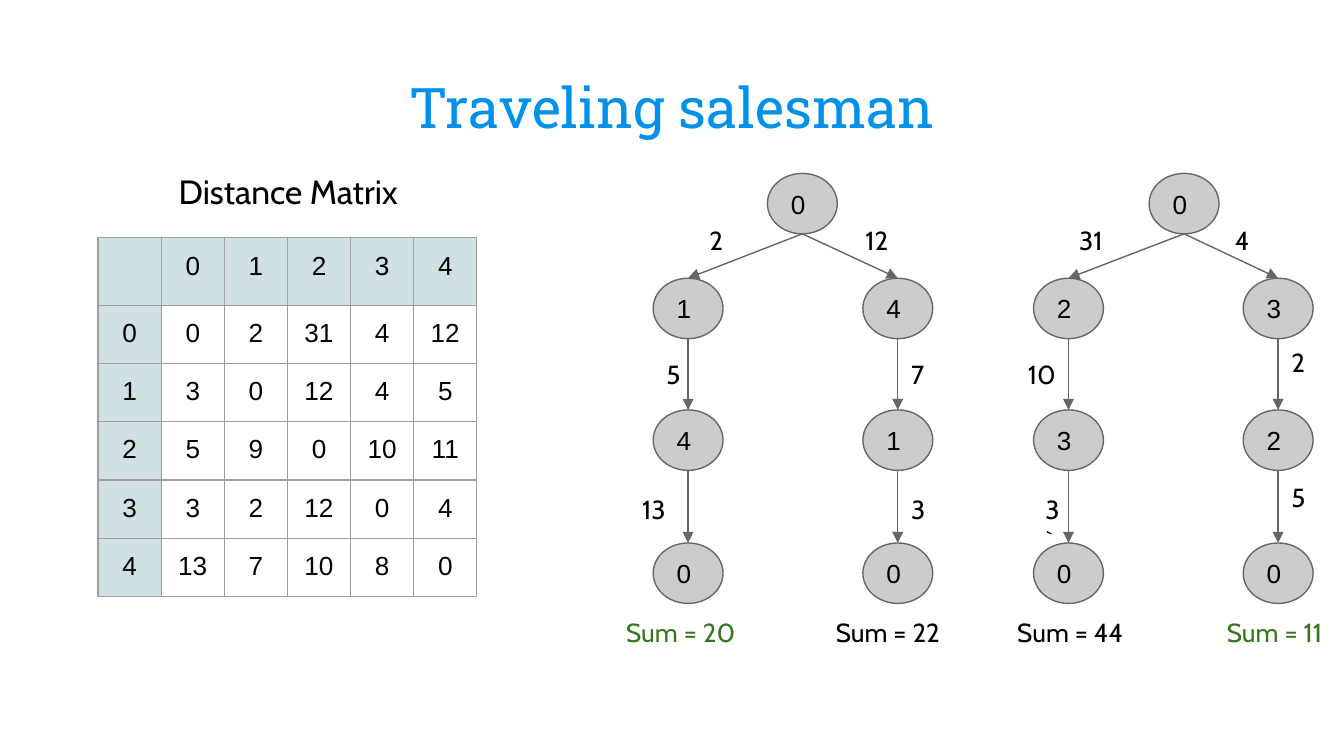
"""Build the Traveling salesman slide: a distance matrix beside two route trees."""
from dataclasses import dataclass

from lxml.etree import SubElement
from pptx import Presentation
from pptx.dml.color import RGBColor
from pptx.enum.shapes import MSO_CONNECTOR, MSO_SHAPE
from pptx.enum.text import MSO_ANCHOR, PP_ALIGN
from pptx.oxml.ns import qn
from pptx.util import Inches, Pt


@dataclass(frozen=True)
class Theme:
    blue: str = "0091EA"
    black: str = "000000"
    green: str = "38761D"
    node: str = "CCCCCC"
    edge: str = "666666"
    header: str = "D0E0E3"
    border: str = "9E9E9E"
    title_font: str = "Roboto Slab"
    label_font: str = "Cabin"
    number_font: str = "Arial"
    title_size: int = 30
    heading_size: int = 18
    text_size: int = 14
    line_width: float = 0.75


THEME = Theme()
TITLE = "Traveling salesman"
HEADING = "Distance Matrix"
MATRIX = [
    [0, 2, 31, 4, 12],
    [3, 0, 12, 4, 5],
    [5, 9, 0, 10, 11],
    [3, 2, 12, 0, 4],
    [13, 7, 10, 8, 0],
]
TREES = [
    {"center": 5.97, "sum_shift": -0.56, "branches": [
        {"shift": -0.85, "stops": "140", "weights": ["2", "5", "13"],
         "weight_shifts": [0.06, -0.26, -0.44], "lift": 0, "total": 20, "color": THEME.green},
        {"shift": 0.71, "stops": "410", "weights": ["12", "7", "3"],
         "weight_shifts": [-0.34, 0, 0], "lift": 0, "total": 22, "color": THEME.black},
    ]},
    {"center": 8.81, "sum_shift": -0.48, "branches": [
        {"shift": -0.86, "stops": "230", "weights": ["31", "10", "3\n`"],
         "weight_shifts": [-0.02, -0.4, -0.27], "lift": 0, "total": 44, "color": THEME.black},
        {"shift": 0.7, "stops": "320", "weights": ["4", "2", "5"],
         "weight_shifts": [-0.42, 0, 0], "lift": 0.09, "total": 11, "color": THEME.green},
    ]},
]
LEVELS = [1.29, 2.07, 3.05, 4.04]
WEIGHT_TOP, WEIGHT_STEP = 1.58, 1.0
NODE_WIDTH, NODE_HEIGHT = 0.52, 0.45
TABLE_LEFT, TABLE_TOP = 0.73, 1.77
COLUMN_WIDTH = 0.47
ROW_HEIGHTS = [0.43, 0.43, 0.42, 0.42, 0.43, 0.43]


def rgb(color):
    return RGBColor.from_string(color)


def set_layout(holder, inset=0.1, **layout):
    layout.update({f"margin_{side}": Inches(inset) for side in ("left", "top", "right", "bottom")})
    for name, value in layout.items():
        setattr(holder, name, value)


def write(frame, text, font, size, color=THEME.black, align=PP_ALIGN.LEFT):
    frame.text = text
    for para in frame.paragraphs:
        para.alignment = align
        for span in para.runs:
            for name, value in {"name": font, "size": Pt(size), "bold": False}.items():
                setattr(span.font, name, value)
            span.font.color.rgb = rgb(color)


def add_label(page, left, top, width, height, text, size=THEME.text_size, **style):
    box = page.shapes.add_textbox(*map(Inches, (left, top, width, height)))
    set_layout(box.text_frame, word_wrap=True, vertical_anchor=MSO_ANCHOR.TOP)
    write(box.text_frame, text, THEME.label_font, size, **style)


def add_node(page, center, top, text):
    node = page.shapes.add_shape(
        MSO_SHAPE.OVAL, *map(Inches, (center - NODE_WIDTH / 2, top, NODE_WIDTH, NODE_HEIGHT)))
    node.shadow.inherit = False
    node.fill.solid()
    node.fill.fore_color.rgb = rgb(THEME.node)
    node.line.color.rgb = rgb(THEME.edge)
    node.line.width = Pt(THEME.line_width)
    set_layout(node.text_frame, word_wrap=True, vertical_anchor=MSO_ANCHOR.MIDDLE)
    write(node.text_frame, text, THEME.number_font, THEME.text_size)


def add_arrow(page, *ends):
    arrow = page.shapes.add_connector(MSO_CONNECTOR.STRAIGHT, *map(Inches, ends))
    arrow.line.color.rgb = rgb(THEME.edge)
    arrow.line.width = Pt(THEME.line_width)
    SubElement(arrow.line._get_or_add_ln(), qn("a:tailEnd"), type="triangle")
    SubElement(arrow._element.spPr, qn("a:effectLst"))


def add_branch(page, root, branch, sum_shift):
    center = root + branch["shift"]
    start = root
    steps = zip(branch["stops"], branch["weights"], branch["weight_shifts"])
    for level, (stop, weight, shift) in enumerate(steps):
        top = LEVELS[level + 1]
        add_arrow(page, start, LEVELS[level] + NODE_HEIGHT, center, top)
        add_node(page, center, top, stop)
        lift = branch["lift"] if level else 0
        add_label(page, center + shift, WEIGHT_TOP + level * WEIGHT_STEP - lift,
                  0.52, 0.19, weight)
        start = center
    add_label(page, center + sum_shift, LEVELS[-1] + NODE_HEIGHT, 1.12, 0.33,
              f"Sum = {branch['total']}", color=branch["color"])


def add_borders(cell):
    for side in ("lnL", "lnR", "lnT", "lnB"):
        line = SubElement(cell._tc.get_or_add_tcPr(), qn(f"a:{side}"),
                          w=str(Pt(THEME.line_width)))
        SubElement(SubElement(line, qn("a:solidFill")), qn("a:srgbClr"), val=THEME.border)


def size_empty_cell(cell):
    mark = SubElement(cell.text_frame.paragraphs[0]._p, qn("a:endParaRPr"),
                      sz=str(THEME.heading_size * 100))
    SubElement(mark, qn("a:latin"), typeface=THEME.number_font)


def add_matrix(page):
    labels = list(range(len(MATRIX)))
    rows = [["", *labels]] + [[label, *values] for label, values in zip(labels, MATRIX)]
    count = len(rows)
    table = page.shapes.add_table(count, count, *map(Inches, (
        TABLE_LEFT, TABLE_TOP, COLUMN_WIDTH * count, sum(ROW_HEIGHTS)))).table
    table.first_row = table.horz_banding = False
    for column, row, height in zip(table.columns, table.rows, ROW_HEIGHTS):
        column.width, row.height = Inches(COLUMN_WIDTH), Inches(height)
    for i, values in enumerate(rows):
        for j, value in enumerate(values):
            cell = table.cell(i, j)
            write(cell.text_frame, str(value), THEME.number_font, THEME.text_size,
                  align=PP_ALIGN.CENTER)
            set_layout(cell, vertical_anchor=MSO_ANCHOR.TOP)
            add_borders(cell)
            if i == 0 or j == 0:
                cell.fill.solid()
                cell.fill.fore_color.rgb = rgb(THEME.header)
            else:
                cell.fill.background()
    size_empty_cell(table.cell(0, 0))


def main():
    deck = Presentation()
    deck.slide_width = Inches(10)
    deck.slide_height = deck.slide_width * 9 // 16
    page = deck.slides.add_slide(deck.slide_layouts[5])
    title = page.shapes.title
    for name, value in zip(("left", "top", "width", "height"), (0.86, 0.34, 8.28, 0.77)):
        setattr(title, name, Inches(value))
    set_layout(title.text_frame, inset=0.07, word_wrap=True, vertical_anchor=MSO_ANCHOR.BOTTOM)
    write(title.text_frame, TITLE, THEME.title_font, THEME.title_size, THEME.blue,
          PP_ALIGN.CENTER)
    add_label(page, 0.89, 1.17, 2.51, 0.45, HEADING, THEME.heading_size, align=PP_ALIGN.CENTER)
    add_matrix(page)
    for tree in TREES:
        add_node(page, tree["center"], LEVELS[0], "0")
        for branch in tree["branches"]:
            add_branch(page, tree["center"], branch, tree["sum_shift"])
    deck.save("out.pptx")


if __name__ == "__main__":
    main()
